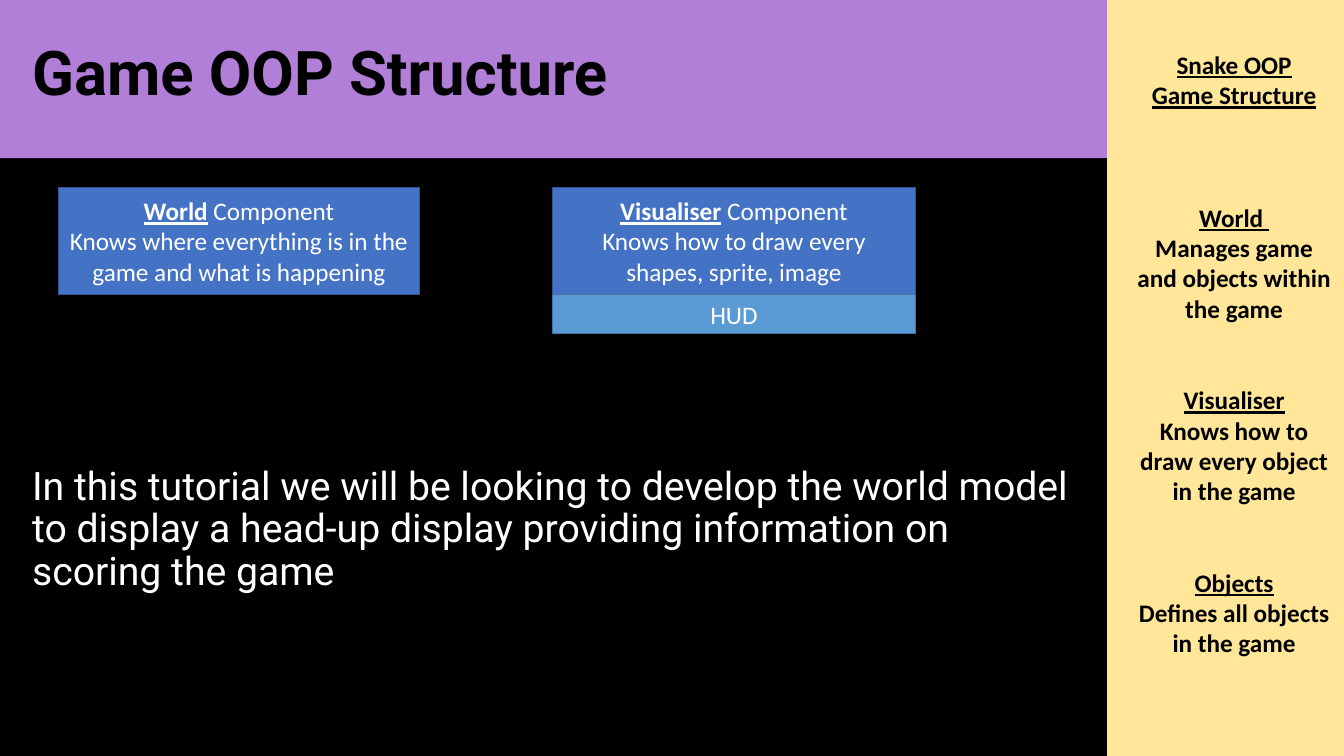
from dataclasses import dataclass

from pptx import Presentation
from pptx.dml.color import RGBColor
from pptx.enum.shapes import MSO_SHAPE
from pptx.enum.text import MSO_ANCHOR, PP_ALIGN
from pptx.util import Inches, Pt

RECTANGLE = MSO_SHAPE.RECTANGLE
TOP, MIDDLE = MSO_ANCHOR.TOP, MSO_ANCHOR.MIDDLE
LEFT, CENTER = PP_ALIGN.LEFT, PP_ALIGN.CENTER


@dataclass(frozen=True)
class Theme:
    background: str = "000000"
    banner: str = "B17ED8"
    sidebar: str = "FFE699"
    component: str = "4472C4"
    component_line: str = "325491"
    hud: str = "5B9BD5"
    hud_line: str = "43739E"
    dark_text: str = "000000"
    light_text: str = "FFFFFF"
    heading_font: str = "Roboto"
    label_font: str = "Calibri"
    title_size: int = 44
    body_size: int = 28
    label_size: int = 18


THEME = Theme()
LABEL_LINE = 22  # height in points of one line of label text

# Each sidebar entry: space before in lines, underlined heading, description
SIDEBAR_ENTRIES = [
    (0, "Snake OOP", None),
    (0, "Game Structure", None),
    (3, "World ", "Manages game and objects within the game"),
    (2, "Visualiser", "Knows how to draw every object in the game"),
    (2, "Objects", "Defines all objects in the game"),
]


def add_text(paragraph, text, font=THEME.label_font, size=THEME.label_size,
             color=THEME.light_text, bold=False, underline=False, align=CENTER):
    """Append one formatted run to a paragraph."""
    paragraph.alignment = align
    run = paragraph.add_run()
    run.text = text
    run.font.name = font
    run.font.size = Pt(size)
    run.font.bold = bold
    run.font.underline = underline
    run.font.color.rgb = RGBColor.from_string(color)


def add_panel(slide, box, fill, line=None):
    """Add a filled rectangle and return its text frame."""
    shape = slide.shapes.add_shape(RECTANGLE, *map(Inches, box))
    shape.shadow.inherit = False
    shape.fill.solid()
    shape.fill.fore_color.rgb = RGBColor.from_string(fill)
    if line:
        shape.line.color.rgb = RGBColor.from_string(line)
        shape.line.width = Pt(1)
    else:
        shape.line.fill.background()
    shape.text_frame.word_wrap = True
    shape.text_frame.vertical_anchor = MIDDLE
    return shape.text_frame


def add_text_box(slide, box, anchor=TOP):
    frame = slide.shapes.add_textbox(*map(Inches, box)).text_frame
    frame.word_wrap = True
    frame.vertical_anchor = anchor
    return frame


def add_banner(slide, box, title):
    left, top, width, height = box
    add_panel(slide, box, THEME.banner)
    title_box = (left + 0.22, top + 0.02, width - 0.47, height - 0.12)
    paragraph = add_text_box(slide, title_box, MIDDLE).paragraphs[0]
    paragraph.line_spacing = 0.9
    add_text(paragraph, title, font=THEME.heading_font, size=THEME.title_size,
             color=THEME.dark_text, bold=True, align=LEFT)


def add_sidebar(slide, box, entries):
    left, top, width, height = box
    add_panel(slide, box, THEME.sidebar)
    frame = add_text_box(slide, (left + 0.17, top + 0.44, width - 0.18, height - 1.34))
    for index, (gap_lines, heading, description) in enumerate(entries):
        paragraph = frame.add_paragraph() if index else frame.paragraphs[0]
        paragraph.space_before = Pt(gap_lines * LABEL_LINE)
        add_text(paragraph, heading, color=THEME.dark_text, bold=True, underline=True)
        if description:
            add_text(frame.add_paragraph(), description, color=THEME.dark_text, bold=True)


def add_component(slide, box, name, description):
    frame = add_panel(slide, box, THEME.component, THEME.component_line)
    heading = frame.paragraphs[0]
    add_text(heading, name, bold=True, underline=True)
    add_text(heading, " Component")
    add_text(frame.add_paragraph(), description)


def add_visualiser(slide, box):
    """Add the visualiser component with its HUD strip attached below."""
    left, top, width, height = box
    add_component(slide, box, "Visualiser", "Knows how to draw every shapes, sprite, image")
    frame = add_panel(slide, (left, top + height, width, 0.39), THEME.hud, THEME.hud_line)
    add_text(frame.paragraphs[0], "HUD")


def add_body(slide, box, text):
    paragraph = add_text_box(slide, box).paragraphs[0]
    paragraph.line_spacing = 0.9
    paragraph.space_before = Pt(10)
    add_text(paragraph, text, font=THEME.heading_font, size=THEME.body_size, align=LEFT)


def main():
    presentation = Presentation()
    presentation.slide_width = Inches(13.33)
    presentation.slide_height = Inches(7.5)
    slide = presentation.slides.add_slide(presentation.slide_layouts[6])
    slide.background.fill.solid()
    slide.background.fill.fore_color.rgb = RGBColor.from_string(THEME.background)

    # Frame of the slide
    add_banner(slide, (0, 0, 10.98, 1.57), "Game OOP Structure")
    add_sidebar(slide, (10.98, 0, 2.36, 7.5), SIDEBAR_ENTRIES)

    # Tutorial aim
    add_body(slide, (0.22, 4.58, 10.51, 2.18),
             "In this tutorial we will be looking to develop the world model to display "
             "a head-up display providing information on scoring the game")

    # Game components
    add_component(slide, (0.58, 1.86, 3.58, 1.06), "World",
                  "Knows where everything is in the game and what is happening")
    add_visualiser(slide, (5.48, 1.86, 3.6, 1.06))

    presentation.save("out.pptx")


if __name__ == "__main__":
    main()
